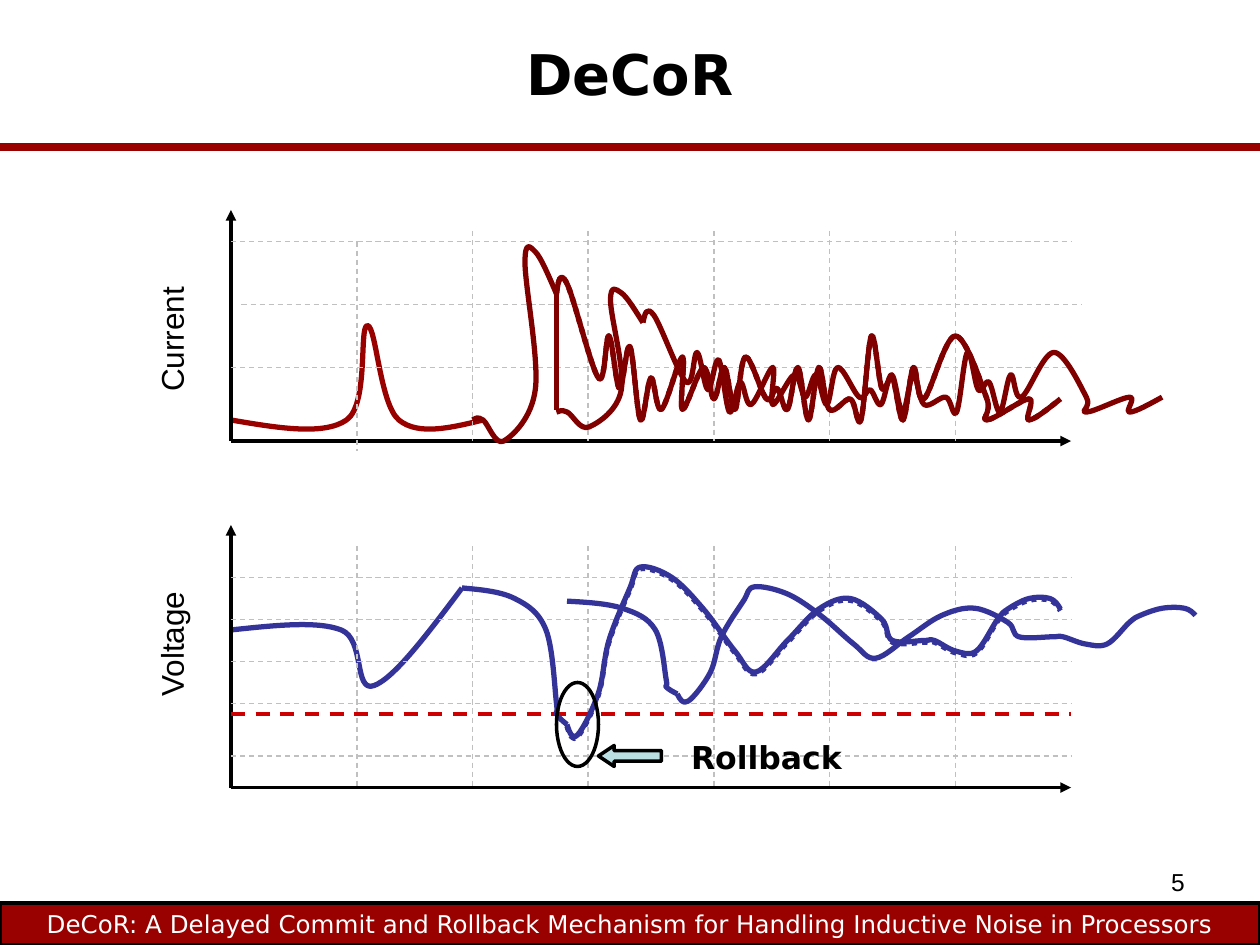
import pptx
import pptx.dml.color
import pptx.enum.dml
import pptx.enum.shapes
import pptx.enum.text
import pptx.oxml.ns
import pptx.util
from lxml import etree

Pt = pptx.util.Pt
RGB = pptx.dml.color.RGBColor
qn = pptx.oxml.ns.qn
SHAPE = pptx.enum.shapes.MSO_SHAPE
ALIGN = pptx.enum.text.PP_ALIGN
ANCHOR = pptx.enum.text.MSO_ANCHOR
DASH = pptx.enum.dml.MSO_LINE.DASH
DOT = pptx.enum.dml.MSO_LINE.ROUND_DOT

BLACK = RGB(0x00, 0x00, 0x00)
WHITE = RGB(0xFF, 0xFF, 0xFF)
CRIMSON = RGB(0x99, 0x00, 0x00)
MAROON = RGB(0x80, 0x00, 0x00)
NAVY = RGB(0x33, 0x33, 0x99)
RED = RGB(0xCC, 0x00, 0x00)
SILVER = RGB(0xC0, 0xC0, 0xC0)
PALE_BLUE = RGB(0xBB, 0xE0, 0xE3)

UNIT = 6
AXIS_LENGTH = 80
CURRENT_ORIGIN = (132, 252)
VOLTAGE_ORIGIN = (132, 450)
COLUMNS = (12, 23, 34, 46, 57, 69)

CURRENT_CALM = [(0, 2), (11, 2), (13, 11), (16, 2), (24, 2)]
CURRENT_SURGE = [(23, 2), (24, 2), (26, 0), (29, 5), (28, 17), (29, 18), (31, 14)]
CURRENT_RINGING = [
    (31, 14), (32, 15), (35, 6), (36, 10), (37, 5), (38, 9), (39, 2), (40, 6),
    (41, 3), (43, 8), (43, 3), (45, 7), (46, 4), (47, 7), (48, 3), (49, 8),
    (51, 4), (52, 5), (53, 3), (54, 7), (55, 2), (56, 7), (57, 3), (59, 4),
    (60, 2), (61, 10), (62, 5), (63, 6), (64, 2), (65, 7), (66, 4), (69, 10),
    (72, 4), (72, 2), (76, 4), (76, 2), (79, 4)]
VOLTAGE_CALM = [(0, 15), (10.5, 15), (13.6, 9.7), (22, 19)]
VOLTAGE_DIP = [(22, 19), (27, 18), (30, 15), (31, 8), (31, 7), (32, 6)]
VOLTAGE_RINGING = [
    (32, 6), (33, 5), (35, 9), (36, 14), (38, 19), (39, 21), (42, 20), (45, 17),
    (48, 13), (50, 11), (53, 14), (56, 17), (59, 18), (62, 16), (63, 14),
    (66, 14), (67, 14), (69, 13), (71, 13), (73, 16), (74, 17), (76, 18),
    (78, 18), (79, 17)]


def set_line(line, color, width, dash=None):
    """Style an outline."""
    line.color.rgb = color
    line.width = Pt(width)
    if dash:
        line.dash_style = dash


def write(sp, text, size, font, color=BLACK, align=ALIGN.CENTER, bold=False,
          anchor=ANCHOR.TOP, wrap=True):
    """Put one formatted run in a shape."""
    tf = sp.text_frame
    tf.word_wrap = wrap
    tf.vertical_anchor = anchor
    p = tf.paragraphs[0]
    p.alignment = align
    r = p.add_run()
    r.text = text
    r.font.size = Pt(size)
    r.font.name = font
    r.font.bold = bold
    r.font.color.rgb = color


def add_text(s, box, text, size, font, **style):
    """Add a text box."""
    sp = s.shapes.add_textbox(*map(Pt, box))
    write(sp, text, size, font, **style)
    return sp


def add_shape(s, kind, box, fill=None):
    """Add a black-outlined preset shape."""
    sp = s.shapes.add_shape(kind, *map(Pt, box))
    sp.shadow.inherit = False
    if fill:
        sp.fill.solid()
        sp.fill.fore_color.rgb = fill
    else:
        sp.fill.background()
    set_line(sp.line, BLACK, 2)
    return sp


def add_line(s, start, end, color, width, dash=None, arrow=False):
    """Add a straight line, with an arrowhead at its end if asked."""
    sp = s.shapes.add_connector(pptx.enum.shapes.MSO_CONNECTOR.STRAIGHT,
                                *map(Pt, (*start, *end)))
    set_line(sp.line, color, width, dash)
    if arrow:
        etree.SubElement(sp.line._get_or_add_ln(), qn("a:tailEnd"), type="triangle")
    etree.SubElement(sp._element.spPr, qn("a:effectLst"))


def on_chart(origin, x, y):
    """Turn chart units, right and up from the origin, into points."""
    return origin[0] + x * UNIT, origin[1] - y * UNIT


def add_curve(s, origin, knots, color, dash=None):
    """Draw a smooth open curve through knots in chart units."""
    points = [tuple(map(Pt, on_chart(origin, x, y))) for x, y in knots]
    builder = s.shapes.build_freeform(*points[0])
    builder.add_line_segments(points[1:], close=False)
    sp = builder.convert_to_shape()
    sp.shadow.inherit = False
    sp.fill.background()
    set_line(sp.line, color, 3, dash)
    outline = next(sp._element.iter(qn("a:path")))
    local = [(int(pt.get("x")), int(pt.get("y"))) for pt in outline.iter(qn("a:pt"))]
    slopes = [((c[0] - a[0]) / 6, (c[1] - a[1]) / 6) for a, c in zip(local, local[2:])]
    leaving = [None] + [(x + dx, y + dy) for (x, y), (dx, dy) in zip(local[1:], slopes)]
    arriving = [(x - dx, y - dy) for (x, y), (dx, dy) in zip(local[1:], slopes)] + [None]
    leaving[0] = [(a + b) / 2 for a, b in zip(local[0], arriving[0])]
    arriving[-1] = [(a + b) / 2 for a, b in zip(local[-1], leaving[-1])]
    for old, *controls in zip(outline.findall(qn("a:lnTo")), leaving, arriving, local[1:]):
        bezier = etree.Element(qn("a:cubicBezTo"))
        for x, y in controls:
            etree.SubElement(bezier, qn("a:pt"), x=str(round(x)), y=str(round(y)))
        outline.replace(old, bezier)


def add_axes(s, origin, name, label_y, height, columns, rows, grid_top):
    """Draw a chart's arrows, grid and rotated label; grid lines are (place, shift)."""
    def line(start, end, *style, **options):
        add_line(s, on_chart(origin, *start), on_chart(origin, *end), *style, **options)

    line((0, 0), (0, height), BLACK, 2, arrow=True)
    line((0, 0), (AXIS_LENGTH, 0), BLACK, 2, arrow=True)
    for x, shift in columns:
        line((x, grid_top + shift), (x, shift), SILVER, 0.75, DASH)
    for y, shift in rows:
        line((shift, y), (AXIS_LENGTH + shift, y), SILVER, 0.75, DASH)
    box = (origin[0] - 72, origin[1] - label_y - 14.5, 76, 29)
    add_text(s, box, name, 18, "Arial", wrap=False).rotation = 270


def add_current_chart(s, origin):
    """Draw the current chart's calm part and axes."""
    add_curve(s, origin, CURRENT_CALM, CRIMSON)
    columns = [(x, -1 if x == COLUMNS[0] else 0) for x in COLUMNS]
    add_axes(s, origin, "Current", 58, 22, columns, [(7, 0), (13, 1), (19, 0)], 20)


def add_voltage_chart(s, origin):
    """Draw the voltage chart's calm part, axes and threshold."""
    add_curve(s, origin, VOLTAGE_CALM, NAVY)
    add_axes(s, origin, "Voltage", 82, 25, [(x, 0) for x in COLUMNS],
             [(y, 0) for y in (3, 8, 12, 16, 20)], 23)
    add_line(s, on_chart(origin, 0, 7), on_chart(origin, AXIS_LENGTH, 7), RED, 2, DASH)


def add_traces(s, origin, event, ringing, color, dot_drop, echo_start, scale):
    """Draw an event, its ringing and the later, smaller echo of both."""
    def echo(knots):
        return [tuple(e + (v - v0) * k for v, v0, e, k in
                      zip(knot, event[0], echo_start, scale)) for knot in knots]

    add_curve(s, origin, event, color)
    add_curve(s, origin, ringing, color)
    add_curve(s, origin, [(x, y - dot_drop) for x, y in ringing], color, DOT)
    add_curve(s, origin, echo(event), color)
    add_curve(s, origin, echo(ringing), color)


def add_rollback(s, left, top):
    """Mark the voltage dip and name the rollback."""
    add_text(s, (left + 66, top + 28, 108, 30), "Rollback", 18, "DejaVu Sans", bold=True)
    add_shape(s, SHAPE.OVAL, (left, top, 24, 48))
    sp = add_shape(s, SHAPE.LEFT_ARROW, (left + 24, top + 36, 36, 12), PALE_BLUE)
    sp.adjustments[1] = 0.75


def add_frame(s, width, height):
    """Place the title, its rule, the page number and the footer."""
    title = s.shapes.title
    title.left, title.top, title.width, title.height = map(Pt, (0, 0, width, 84))
    write(title, "DeCoR", 32, "DejaVu Sans", bold=True, anchor=ANCHOR.MIDDLE)
    add_line(s, (0, 84), (width, 84), CRIMSON, 5)
    add_text(s, (width - 204, height - 48, 168, 37), "5", 14, "Arial", align=ALIGN.RIGHT)
    footer = add_shape(s, SHAPE.RECTANGLE, (0, height - 24, width, 24), CRIMSON)
    write(footer, "DeCoR: A Delayed Commit and Rollback Mechanism for Handling "
          "Inductive Noise in Processors", 14, "DejaVu Sans", WHITE, anchor=ANCHOR.MIDDLE)


def main():
    """Build and save the slide."""
    prs = pptx.Presentation()
    prs.slide_width, prs.slide_height = Pt(720), Pt(540)
    s = prs.slides.add_slide(prs.slide_layouts[5])
    add_frame(s, 720, 540)
    add_current_chart(s, CURRENT_ORIGIN)
    add_voltage_chart(s, VOLTAGE_ORIGIN)
    add_traces(s, VOLTAGE_ORIGIN, VOLTAGE_DIP, VOLTAGE_RINGING, NAVY, 0.17,
               (32, 17.75), (1.05, 0.68))
    add_traces(s, CURRENT_ORIGIN, CURRENT_SURGE, CURRENT_RINGING, MAROON, 0,
               (31, 2.75), (1.03, 0.71))
    add_line(s, on_chart(CURRENT_ORIGIN, 31, 14), on_chart(CURRENT_ORIGIN, 31, 3), MAROON, 3)
    add_rollback(s, 318, 390)
    prs.save("out.pptx")


if __name__ == "__main__":
    main()
